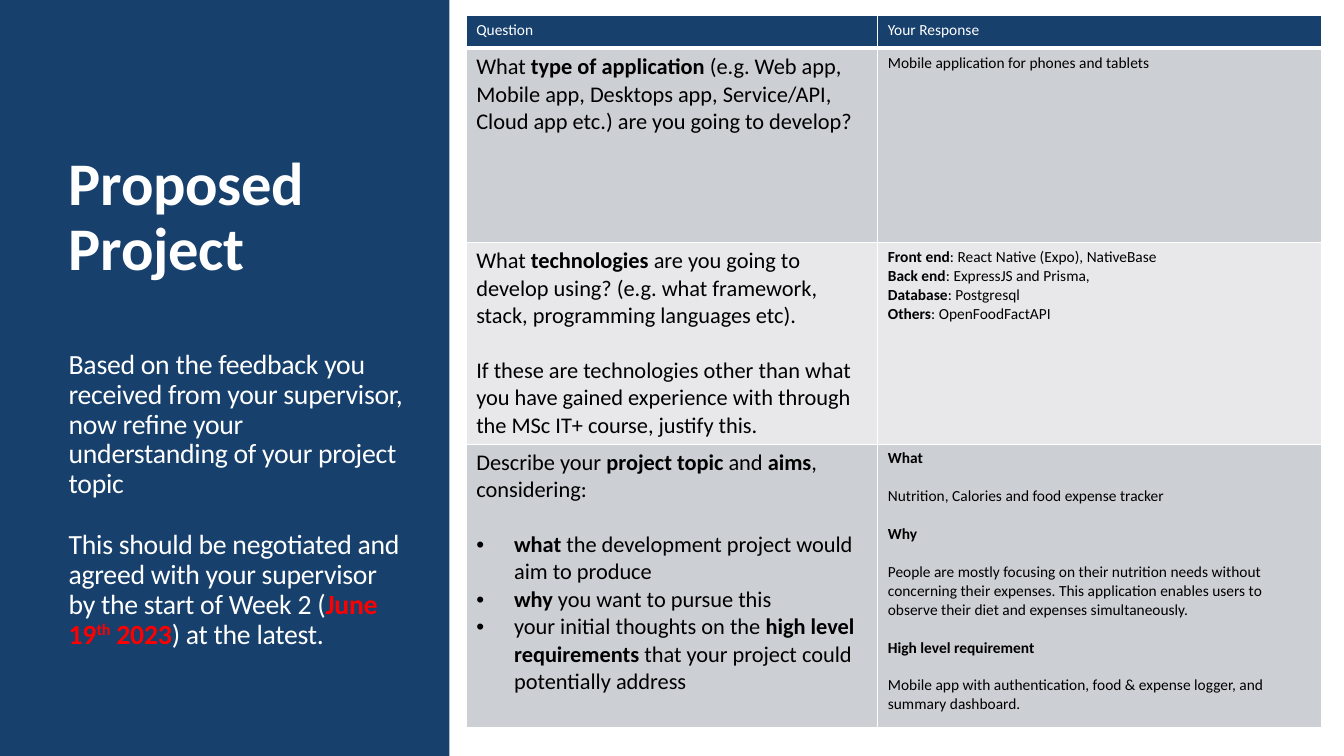
from lxml import etree
from pptx import Presentation
from pptx.dml.color import RGBColor
from pptx.enum.shapes import MSO_SHAPE
from pptx.enum.text import MSO_ANCHOR
from pptx.oxml.ns import qn
from pptx.util import Pt

RECTANGLE = MSO_SHAPE.RECTANGLE
BOTTOM = MSO_ANCHOR.BOTTOM
PX = 9525  # EMU per px, 96 px to the inch
FONT = "Calibri"
COLORS = {"navy": "17406D", "white": "FFFFFF", "black": "000000",
          "red": "FF0000", "dark_band": "CCCFD4", "light_band": "E8E8EB"}

COLUMN_WIDTHS = [392, 423]
ROW_HEIGHTS = [31, 185, 192, 270]
ROW_FILLS = ["navy", "dark_band", "light_band", "dark_band"]
QUESTION_SIZE, RESPONSE_SIZE = 16, 11
BULLET_INDENT = 36

# Cell paragraphs: ** marks bold, a leading "|" a gap above, a leading "•" a bullet
HEADINGS = ["Question", "Your Response"]
ROWS = [
    (["What **type of application **(e.g. Web app, Mobile app, Desktops app, "
      "Service/API, Cloud app etc.) are you going to develop?"],
     ["Mobile application for phones and tablets"]),
    (["What **technologies** are you going to develop using? (e.g. what framework, "
      "stack, programming languages etc).",
      "|If these are technologies other than what you have gained experience with "
      "through the MSc IT+ course, justify this."],
     ["**Front end**: React Native (Expo), NativeBase",
      "**Back end**: ExpressJS and Prisma,",
      "**Database**: Postgresql",
      "**Others**: OpenFoodFactAPI"]),
    (["Describe your **project topic** and **aims**, considering:",
      "|•**what** the development project would aim to produce",
      "•**why** you want to pursue this",
      "•your initial thoughts on the **high level requirements **that your project "
      "could potentially address"],
     ["**What**",
      "|Nutrition, Calories and food expense tracker",
      "|**Why**",
      "|People are mostly focusing on their nutrition needs without concerning their "
      "expenses. This application enables users to observe their diet and expenses "
      "simultaneously.",
      "|**High level requirement**",
      "|Mobile app with authentication, food & expense logger, and summary dashboard."]),
]


def rgb(name):
    return RGBColor.from_string(COLORS[name])


def style_paragraph(paragraph, size, color):
    paragraph.font.name = FONT
    paragraph.font.size = Pt(size)
    paragraph.font.color.rgb = rgb(color)


def add_bullet(paragraph):
    properties = paragraph._p.get_or_add_pPr()
    properties.set("marL", str(BULLET_INDENT * PX))
    properties.set("indent", str(-BULLET_INDENT * PX))
    etree.SubElement(properties, qn("a:buFont")).set("typeface", "Arial")
    etree.SubElement(properties, qn("a:buChar")).set("char", "•")


def add_marked_runs(paragraph, marked):
    for index, piece in enumerate(marked.split("**")):
        if piece:
            run = paragraph.add_run()
            run.text = piece
            run.font.bold = index % 2 == 1


def add_paragraph(frame, first):
    return frame.paragraphs[0] if first else frame.add_paragraph()


def fill_cell(cell, lines, size, color):
    for index, line in enumerate(lines):
        paragraph = add_paragraph(cell.text_frame, index == 0)
        if line.startswith("|"):
            paragraph.space_before = Pt(round(size * 1.22, 1))
            line = line[1:]
        if line.startswith("•"):
            add_bullet(paragraph)
            line = line[1:]
        style_paragraph(paragraph, size, color)
        add_marked_runs(paragraph, line)


def add_cell_borders(cell, bottom_width):
    properties = cell._tc.get_or_add_tcPr()
    widths = {"lnL": 1, "lnR": 1, "lnT": 1, "lnB": bottom_width}
    for position, (side, width) in enumerate(widths.items()):
        border = etree.Element(qn("a:" + side), w=str(Pt(width)))
        solid = etree.SubElement(border, qn("a:solidFill"))
        etree.SubElement(solid, qn("a:srgbClr")).set("val", COLORS["white"])
        properties.insert(position, border)


def add_side_panel(slide, left, top, width, height):
    panel = slide.shapes.add_shape(RECTANGLE, left * PX, top * PX, width * PX, height * PX)
    panel.shadow.inherit = False
    panel.fill.solid()
    panel.fill.fore_color.rgb = rgb("navy")
    panel.line.fill.background()

    # Heading and instructions, resting on the bottom of their box
    brief = slide.shapes.add_textbox((left + 56) * PX, (top + 82) * PX,
                                     (width - 91) * PX, (height - 178) * PX)
    frame = brief.text_frame
    frame.word_wrap = True
    frame.vertical_anchor = BOTTOM
    # Size, space before, and runs of (text, red, superscript)
    paragraphs = [
        (43.2, 0, [("Proposed Project", False, False)]),
        (19.8, 47.5, [("Based on the feedback you received from your supervisor, now "
                       "refine your understanding of your project topic", False, False)]),
        (19.8, 21.7, [("This should be negotiated and agreed with your supervisor by "
                       "the start of Week 2 (", False, False),
                      ("June 19", True, False), ("th", True, True),
                      (" 2023", True, False), (") at the latest.", False, False)]),
    ]
    for index, (size, gap, pieces) in enumerate(paragraphs):
        paragraph = add_paragraph(frame, index == 0)
        paragraph.line_spacing = 0.9
        paragraph.space_before = Pt(gap)
        style_paragraph(paragraph, size, "white")
        paragraph.font.bold = index == 0
        for text, is_red, is_superscript in pieces:
            run = paragraph.add_run()
            run.text = text
            properties = run._r.get_or_add_rPr()
            properties.set("spc", "-20")
            if is_red:
                run.font.bold = True
                run.font.color.rgb = rgb("red")
            if is_superscript:
                properties.set("baseline", "30000")


def add_response_table(slide, left, top):
    table = slide.shapes.add_table(
        len(ROW_HEIGHTS), len(COLUMN_WIDTHS), left * PX, top * PX,
        sum(COLUMN_WIDTHS) * PX, sum(ROW_HEIGHTS) * PX).table
    table.first_row = False
    table.horz_banding = False
    for column, width in zip(table.columns, COLUMN_WIDTHS):
        column.width = width * PX
    for row, height in zip(table.rows, ROW_HEIGHTS):
        row.height = height * PX

    # Header row, then one row per question
    for column, heading in enumerate(HEADINGS):
        fill_cell(table.cell(0, column), [heading], RESPONSE_SIZE, "white")
    for row, (question, response) in enumerate(ROWS, start=1):
        fill_cell(table.cell(row, 0), question, QUESTION_SIZE, "black")
        fill_cell(table.cell(row, 1), response, RESPONSE_SIZE, "black")

    for index, (row, color) in enumerate(zip(table.rows, ROW_FILLS)):
        for cell in row.cells:
            cell.fill.solid()
            cell.fill.fore_color.rgb = rgb(color)
            add_cell_borders(cell, 3 if index == 0 else 1)


def main():
    presentation = Presentation()
    presentation.slide_width = 1280 * PX
    presentation.slide_height = 720 * PX
    slide = presentation.slides.add_slide(presentation.slide_layouts[6])
    add_side_panel(slide, 0, 0, 428, 720)
    add_response_table(slide, 444, 15)
    presentation.save("out.pptx")


if __name__ == "__main__":
    main()
